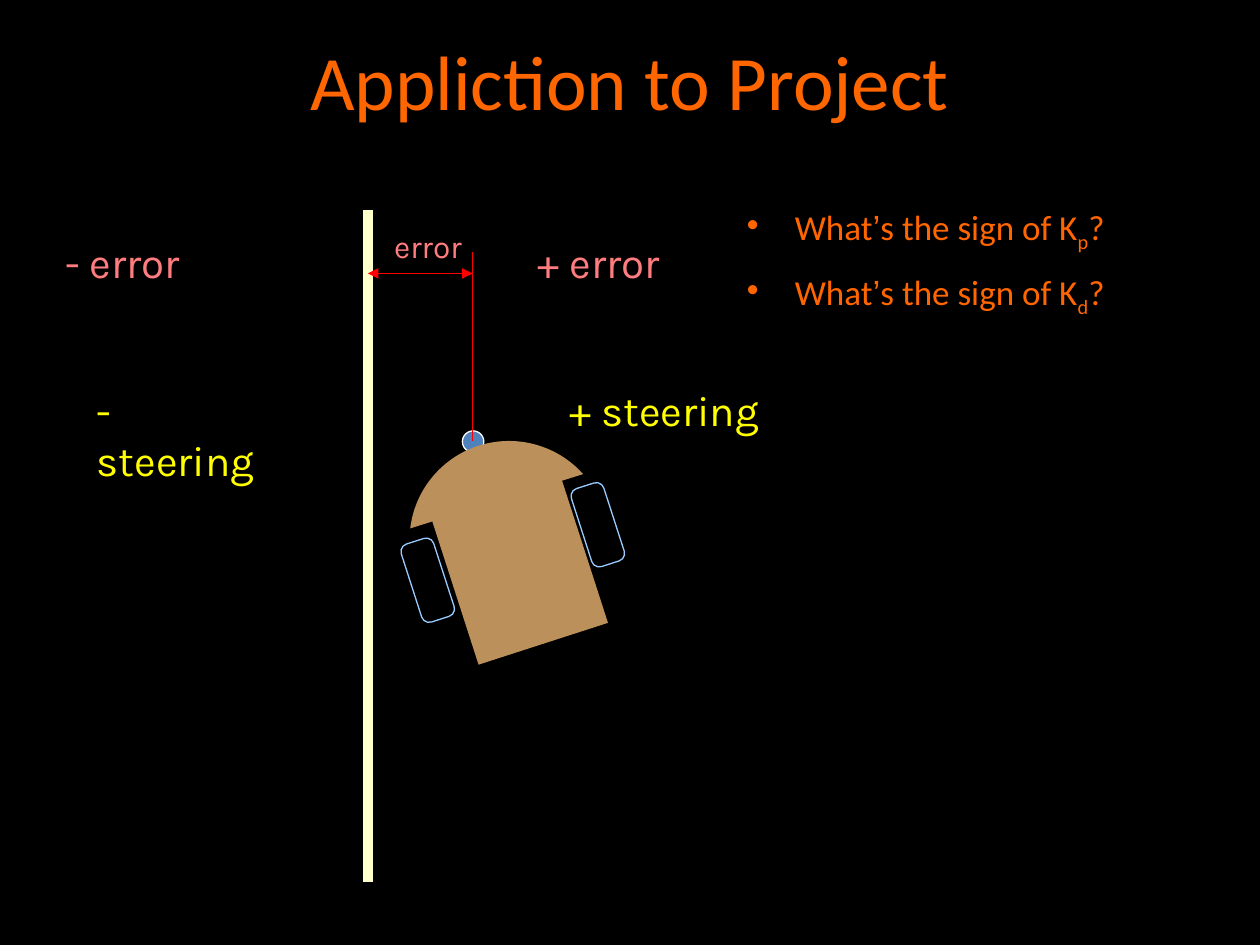
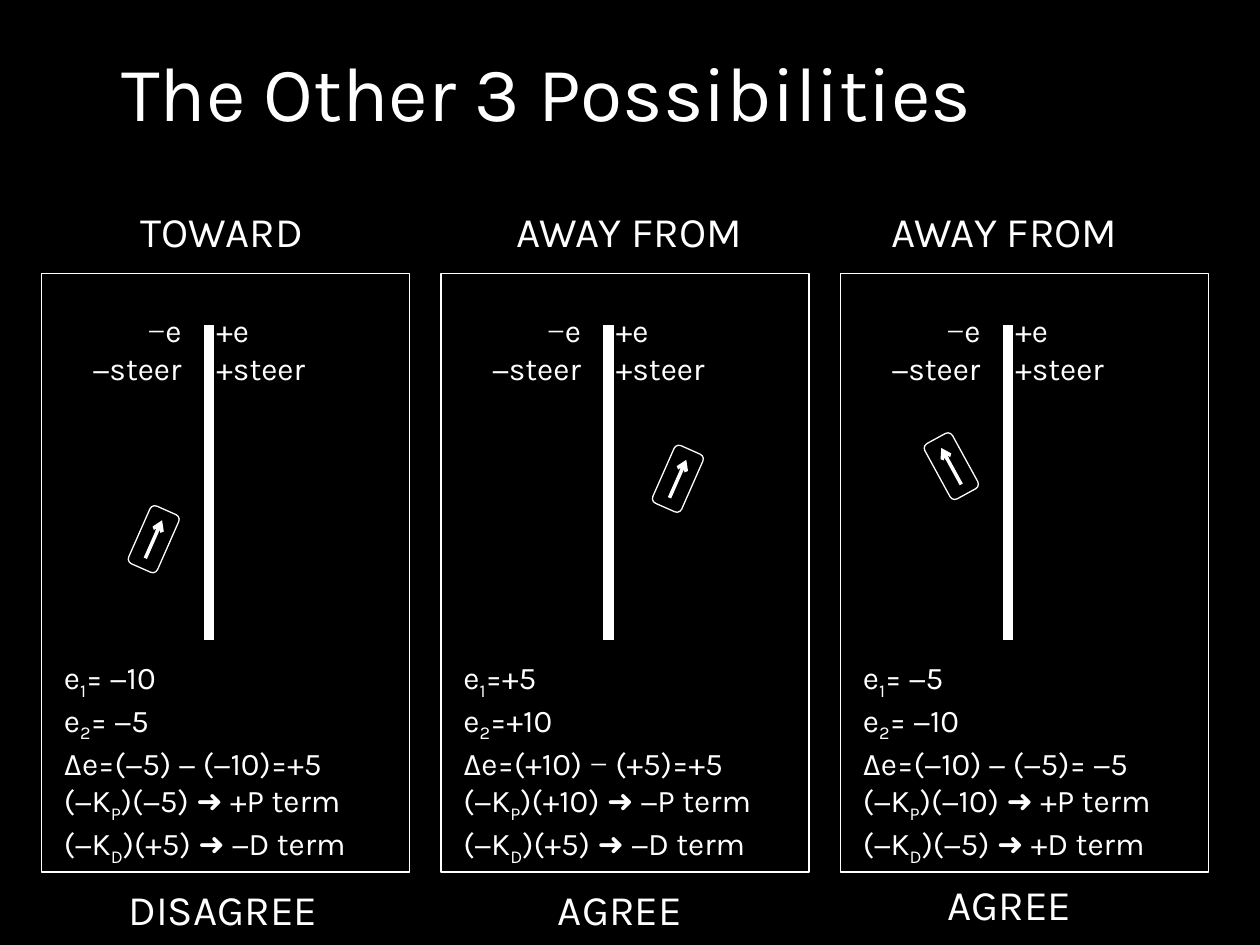
"""Two slides on line following: the steering error and its sign cases."""
from dataclasses import dataclass
from math import cos, radians, sin

from lxml import etree
from pptx import Presentation
from pptx.dml import color
from pptx.enum import shapes, text
from pptx.oxml import ns
from pptx.util import Inches, Pt

BLACK, WHITE, ORANGE = "000000", "FFFFFF", "FF6600"
PINK, YELLOW, CREAM, RED = "FF7C80", "FFFF00", "FFFFCC", "FF0000"
BROWN, BLUE, SKY = "BC905A", "4F81BD", "99CCFF"
KIND = shapes.MSO_SHAPE
ALIGN = text.PP_ALIGN
FACES = {"~": "Times New Roman", "'": "Arial"}
TILT = 342.1


@dataclass
class Label:
    """A text box; '|' splits runs, '_' lowers one, '~' and ''' change its face."""
    left: float
    top: float
    width: float
    lines: tuple[str, ...]
    size: int = 24
    tint: str = WHITE
    height: float = 0.5
    face: str = "Karla"
    align: ALIGN = ALIGN.LEFT


@dataclass
class Part:
    """A preset shape."""
    kind: KIND
    left: float
    top: float
    width: float
    height: float
    fill: str = ""
    edge: str = ""
    turn: float = 0
    bends: tuple[float, ...] = ()


@dataclass
class Stroke:
    """A straight line with optional arrowheads."""
    start: tuple[float, float]
    end: tuple[float, float]
    tint: str = WHITE
    width: float = 6
    head: str = ""
    tail: str = ""


@dataclass
class Case:
    """One panel: heading, car centre and angle, sums and verdict."""
    head: Label
    car: tuple[float, float]
    angle: float
    sums: tuple[str, ...]
    verdict: Label


def rgb(code: str) -> color.RGBColor:
    """Turn a hex string into a colour."""
    return color.RGBColor.from_string(code)


def style(para, face: str, size: int, tint: str) -> None:
    """Set the font of a paragraph."""
    para.font.name, para.font.size = face, Pt(size)
    para.font.color.rgb = rgb(tint)


def write(slide, item: Label):
    """Draw a label and return its text frame."""
    box = slide.shapes.add_textbox(*map(Inches, (item.left, item.top, item.width, item.height)))
    frame = box.text_frame
    frame.word_wrap = True
    for i, line in enumerate(item.lines):
        para = frame.add_paragraph() if i else frame.paragraphs[0]
        para.alignment = item.align
        style(para, item.face, item.size, item.tint)
        for piece in line.split("|"):
            run = para.add_run()
            mark = piece[0]
            run.text = piece[1:] if mark in "_~'" else piece
            if mark == "_":
                run.font._element.set("baseline", "-25000")
            elif mark in FACES:
                run.font.name = FACES[mark]
    return frame


def bullet(para) -> None:
    """Give a paragraph a hanging bullet and space around it."""
    props = para._p.get_or_add_pPr()
    props.set("marL", str(Inches(0.38)))
    props.set("indent", str(-Inches(0.38)))
    dot = etree.Element(ns.qn("a:buChar"))
    dot.set("char", "•")
    props.insert(0, dot)
    para.space_before = para.space_after = Pt(5)


def draw(slide, item: Part) -> None:
    """Draw a preset shape."""
    shape = slide.shapes.add_shape(
        item.kind, *map(Inches, (item.left, item.top, item.width, item.height)))
    shape.shadow.inherit = False
    shape.rotation = item.turn
    for i, bend in enumerate(item.bends):
        shape.adjustments[i] = bend
    if item.fill:
        shape.fill.solid()
        shape.fill.fore_color.rgb = rgb(item.fill)
    else:
        shape.fill.background()
    if item.edge:
        shape.line.color.rgb = rgb(item.edge)
        shape.line.width = Pt(0.75)
    else:
        shape.line.fill.background()


def link(slide, item: Stroke) -> None:
    """Draw a line."""
    wire = slide.shapes.add_connector(
        shapes.MSO_CONNECTOR.STRAIGHT, *map(Inches, item.start + item.end))
    wire.line.color.rgb = rgb(item.tint)
    wire.line.width = Pt(item.width)
    props = wire._element.spPr
    for tag, tip in (("a:headEnd", item.head), ("a:tailEnd", item.tail)):
        if tip:
            etree.SubElement(props.find(ns.qn("a:ln")), ns.qn(tag)).set("type", tip)
    etree.SubElement(props, ns.qn("a:effectLst"))


def start(deck, title: Label, anchor: text.MSO_ANCHOR):
    """Add a slide with its title in place."""
    slide = deck.slides.add_slide(deck.slide_layouts[5])
    head = slide.shapes.title
    head.left, head.top = Inches(title.left), Inches(title.top)
    head.width, head.height = Inches(title.width), Inches(title.height)
    frame = head.text_frame
    frame.text = title.lines[0]
    frame.auto_size = text.MSO_AUTO_SIZE.NONE
    frame.vertical_anchor = anchor
    frame.paragraphs[0].alignment = ALIGN.CENTER
    style(frame.paragraphs[0], title.face, title.size, title.tint)
    return slide


def project(deck) -> None:
    """Build the slide with the robot beside the line."""
    slide = start(deck, Label(0.75, 0.17, 8.5, ("Appliction to Project",), 44, ORANGE,
                              0.92, "Calibri"), text.MSO_ANCHOR.MIDDLE)
    asks = tuple(f"What|'’|s the sign of K|_{k}|?" for k in "pd")
    frame = write(slide, Label(5.83, 1.58, 3.42, asks, 20, ORANGE, 1.5, "Calibri"))
    for para in frame.paragraphs:
        bullet(para)

    link(slide, Stroke((2.92, 1.67), (2.92, 7), CREAM))
    for item in (
        Label(4.17, 1.83, 1.26, ("+ error",), tint=PINK),
        Label(0.42, 1.83, 1.14, ("- error",), tint=PINK),
        Label(4.42, 3, 1.78, ("+ steering",), tint=YELLOW),
        Label(0.67, 3, 1.6, ("- steering",), tint=YELLOW),
        Label(3.03, 1.75, 0.78, ("error",), 18, PINK, 0.4),
    ):
        write(slide, item)

    draw(slide, Part(KIND.OVAL, 3.67, 3.42, 0.17, 0.17, BLUE, WHITE))
    link(slide, Stroke((3.75, 3.5), (3.75, 2), RED, 0.75))
    link(slide, Stroke((2.92, 2.17), (3.75, 2.17), RED, 0.75, "triangle", "triangle"))
    draw(slide, Part(KIND.RECTANGLE, 3.58, 3.89, 1.08, 1.25, BROWN, turn=TILT))
    draw(slide, Part(KIND.CHORD, 3.25, 3.5, 1.58, 1.58, BROWN, turn=TILT,
                     bends=(122.92, 201.63)))
    for left, top in ((3.26, 4.28), (4.61, 3.84)):
        draw(slide, Part(KIND.ROUNDED_RECTANGLE, left, top, 0.27, 0.65, BLACK, SKY,
                         TILT, (0.23,)))


def panel(slide, left: float, case: Case) -> None:
    """Draw one case in its frame."""
    draw(slide, Part(KIND.RECTANGLE, left, 2.17, 2.92, 4.75, edge=WHITE))
    link(slide, Stroke((left + 1.33, 2.58), (left + 1.33, 5.08)))
    write(slide, Label(left + 0.1, 2.42, 1.11, ("~−|e", "−steer"), 18, height=0.71,
                       align=ALIGN.RIGHT))
    write(slide, Label(left + 1.29, 2.42, 1.1, ("+e", "+steer"), 18, height=0.71))

    x, y = case.car
    draw(slide, Part(KIND.ROUNDED_RECTANGLE, x - 0.125, y - 0.25, 0.25, 0.5,
                     edge=WHITE, turn=case.angle % 360))
    dx, dy = 0.165 * sin(radians(case.angle)), 0.165 * cos(radians(case.angle))
    link(slide, Stroke((x - dx, y + dy), (x + dx, y - dy), width=2, tail="arrow"))

    write(slide, Label(left + 0.08, 5.17, 2.8, case.sums, 18, height=1.62))
    write(slide, case.head)
    write(slide, case.verdict)


def sums(first: str, second: str, change: str, gain: str, damp: str,
         delta: str) -> tuple[str, ...]:
    """Write the five lines of working for a case."""
    return (f"e|_1|={first}", f"e|_2|={second}", f"Δe={change}",
            f"(−K|_P|)({second.strip()}) ➜ {gain}P term",
            f"(−K|_D|)({delta}) ➜ {damp}D term")


def cases(deck) -> None:
    """Build the slide with three panels."""
    slide = start(deck, Label(0.5, 0.3, 7.83, ("The Other 3 Possibilities ",), 44,
                              height=1.25), text.MSO_ANCHOR.TOP)
    items = (
        Case(Label(1.02, 1.58, 1.56, ("TOWARD",)), (1.22, 4.28), 23.8,
             sums(" −10", " −5", "(−5) − (−10)=+5", "+", "−", "+5"),
             Label(0.92, 6.96, 1.75, ("DISAGREE",))),
        Case(Label(4, 1.58, 2.06, ("AWAY FROM",)), (5.38, 3.8), 23.8,
             sums("+5", "+10", "(+10) |~− |(+5)=+5", "−", "−", "+5"),
             Label(4.33, 6.96, 1.22, ("AGREE",))),
        Case(Label(6.98, 1.58, 2.06, ("AWAY FROM",)), (7.55, 3.7), -28.7,
             sums(" −5", " −10", "(−10) − (−5)= −5", "+", "+", "−5"),
             Label(7.42, 6.92, 1.22, ("AGREE",))),
    )
    for i, case in enumerate(items):
        panel(slide, 0.33 + 3.17 * i, case)


def main() -> None:
    """Build and save the deck."""
    deck = Presentation()
    deck.slide_width, deck.slide_height = Inches(10), Inches(7.5)
    back = deck.slide_master.background.fill
    back.solid()
    back.fore_color.rgb = rgb(BLACK)
    project(deck)
    cases(deck)
    deck.save("out.pptx")


if __name__ == "__main__":
    main()
